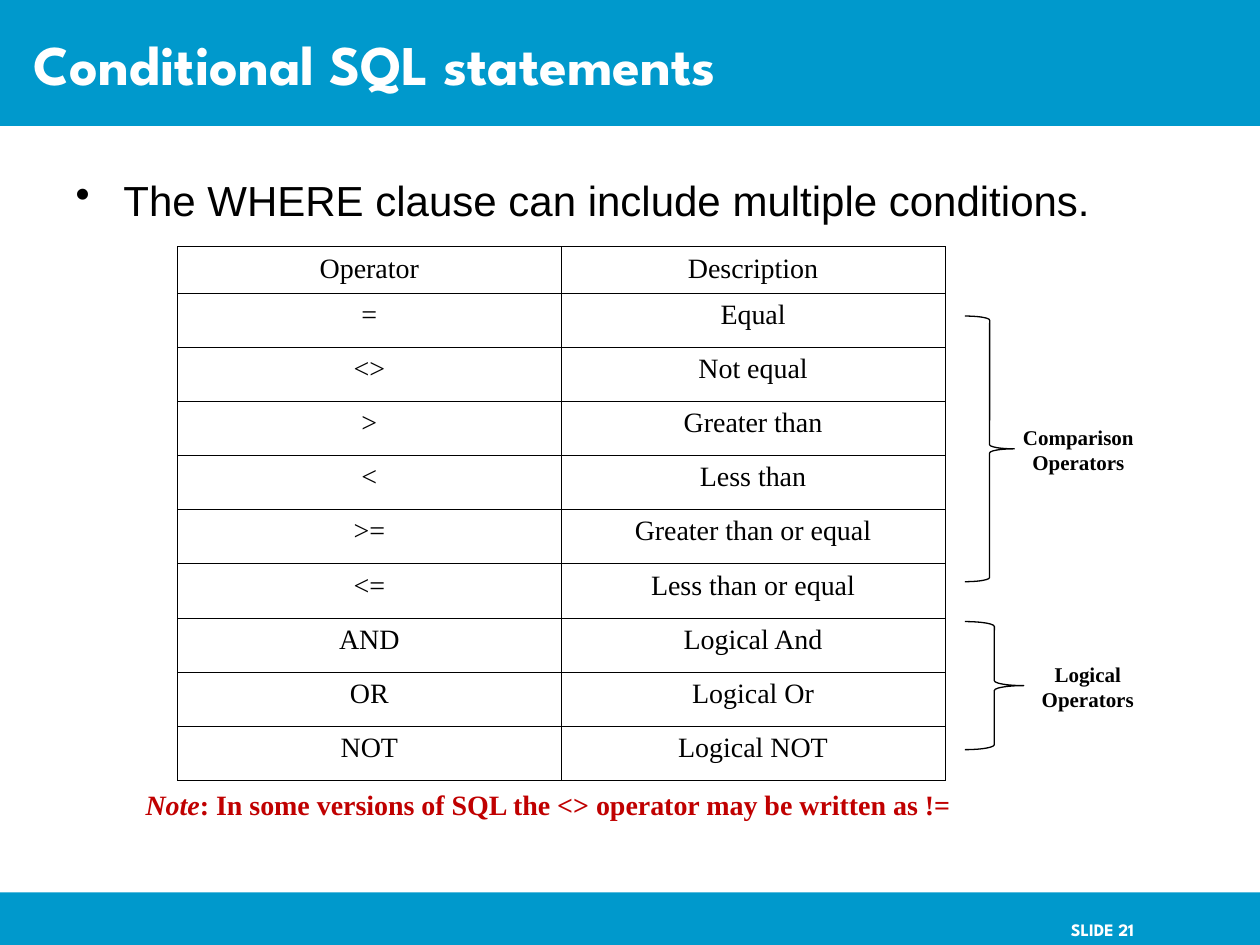
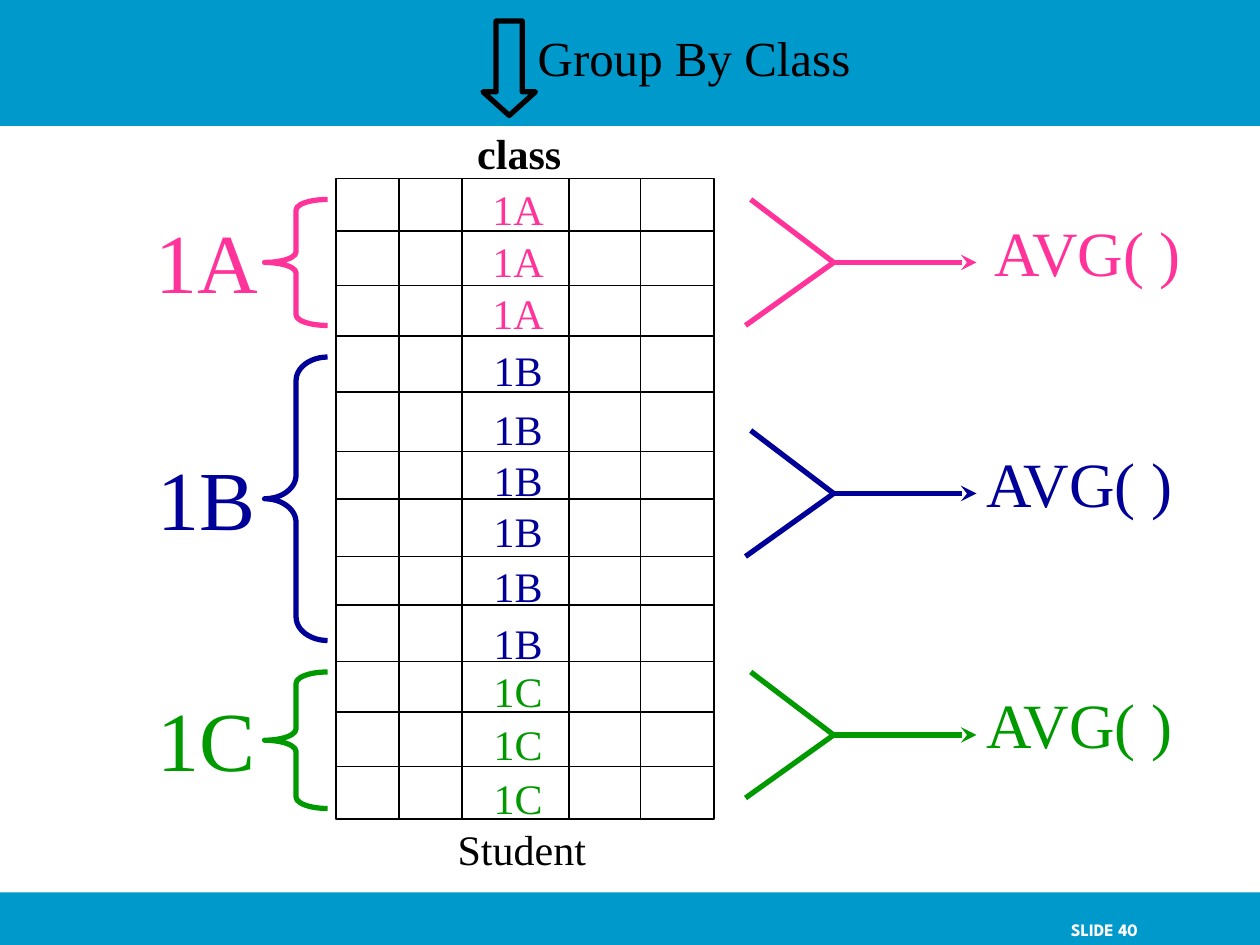
import lxml.etree
import pptx
import pptx.dml.color
import pptx.enum.shapes
import pptx.enum.text
import pptx.oxml
import pptx.oxml.ns
import pptx.util

SHAPE = pptx.enum.shapes.MSO_SHAPE
ALIGN = pptx.enum.text.PP_ALIGN
ANCHOR = pptx.enum.text.MSO_ANCHOR

# The slide is a grid of 120 columns by 90 rows.
COLUMNS, ROWS = 120, 90
UNIT = pptx.util.Inches(10) / COLUMNS

BLUE, WHITE, BLACK, RED = "0099CC", "FFFFFF", "000000", "C00000"
PINK, NAVY, GREEN = "FF3399", "000099", "009900"
HEADING_FONT, BODY_FONT, SERIF_FONT = "League Spartan", "Arial", "Times New Roman"

OPERATORS = [
    ("Operator", "Description"),
    ("=", "Equal"),
    ("<>", "Not equal"),
    (">", "Greater than"),
    ("<", "Less than"),
    (">=", "Greater than or equal"),
    ("<=", "Less than or equal"),
    ("AND", "Logical And"),
    ("OR", "Logical Or"),
    ("NOT", "Logical NOT"),
]

# Class name, colour, brace top, brace height, funnel top, result width
CLASSES = [
    ("1A", PINK, 19, 12, 19, 22.6),
    ("1B", NAVY, 34, 27, 41, 21),
    ("1C", GREEN, 64, 13, 64, 21),
]
STUDENT_CLASSES = ["1A"] * 3 + ["1B"] * 6 + ["1C"] * 3
STUDENT_TOPS = [16.9, 21.8, 26.8, 32.2, 37.8, 42.7, 47.6, 52.8, 58.2, 62.8, 67.8, 73]
STUDENT_ROW_LINES = [22, 27.2, 32, 37.3, 43, 47.5, 53, 57.6, 63, 67.8, 73]
STUDENT_COLUMN_LINES = [38, 44, 54.2, 61]


def grid(*units):
    return [pptx.util.Emu(round(unit * UNIT)) for unit in units]


def color(value):
    return pptx.dml.color.RGBColor.from_string(value)


def format_text(frame, size, text_color=BLACK, font=SERIF_FONT, bold=False,
                align=ALIGN.CENTER):
    for para in frame.paragraphs:
        para.alignment = align
        for span in para.runs:
            span.font.size = pptx.util.Pt(size)
            span.font.name = font
            span.font.bold = bold
            span.font.color.rgb = color(text_color)


def add_text(page, area, text, size, **style):
    """Add a wrapped text box without side margins."""
    box = page.shapes.add_textbox(*grid(*area))
    frame = box.text_frame
    frame.word_wrap = True
    frame.margin_left = frame.margin_right = 0
    frame.text = text
    format_text(frame, size, **style)
    return frame


def add_shape(page, kind, area, fill=None, line=None, width=1):
    shape = page.shapes.add_shape(kind, *grid(*area))
    shape.shadow.inherit = False
    if fill:
        shape.fill.solid()
        shape.fill.fore_color.rgb = color(fill)
    else:
        shape.fill.background()
    if line:
        shape.line.color.rgb = color(line)
        shape.line.width = pptx.util.Pt(width)
    else:
        shape.line.fill.background()
    return shape


def add_line(page, start, end, line, width, arrow=False):
    connector = page.shapes.add_connector(
        pptx.enum.shapes.MSO_CONNECTOR.STRAIGHT, *grid(*start, *end))
    connector.line.color.rgb = color(line)
    connector.line.width = pptx.util.Pt(width)
    if arrow:
        lxml.etree.SubElement(connector.line._get_or_add_ln(),
                              pptx.oxml.ns.qn("a:tailEnd"), type="stealth")
    lxml.etree.SubElement(connector._element.spPr, pptx.oxml.ns.qn("a:effectLst"))
    return connector


def add_bands(page, number):
    """Draw the header and footer bands with the slide number."""
    for top, height in ((0, 12), (85, 5)):
        add_shape(page, SHAPE.RECTANGLE, (0, top, COLUMNS, height), fill=BLUE)
    frame = add_text(page, (102, 87, 12, 3), f"SLIDE {number}", 10,
                     text_color=WHITE, font=HEADING_FONT, bold=True, align=ALIGN.LEFT)
    frame.margin_top = frame.margin_bottom = 0
    frame.vertical_anchor = ANCHOR.MIDDLE


def set_title(page, text):
    title = page.shapes.title
    title.left, title.top, title.width, title.height = grid(2, 0, 102, 12)
    title.text_frame.text = text
    title.text_frame.vertical_anchor = ANCHOR.MIDDLE
    format_text(title.text_frame, 32, WHITE, HEADING_FONT, True, ALIGN.LEFT)
    # Keep the title in front of the header band.
    page.shapes._spTree.append(title._element)


def add_bullet(page, area, text):
    frame = add_text(page, area, text, 24, font=BODY_FONT, align=ALIGN.LEFT)
    properties = frame.paragraphs[0]._p.get_or_add_pPr()
    indent = pptx.util.Inches(0.38)
    properties.set("marL", str(indent))
    properties.set("indent", str(-indent))
    lxml.etree.SubElement(properties, pptx.oxml.ns.qn("a:buChar"), char="•")


def set_borders(cell, line, width):
    properties = cell._tc.get_or_add_tcPr()
    for position, side in enumerate(("lnL", "lnR", "lnT", "lnB")):
        border = pptx.oxml.parse_xml(
            f'<a:{side} {pptx.oxml.ns.nsdecls("a")} w="{pptx.util.Pt(width)}">'
            f'<a:solidFill><a:srgbClr val="{line}"/></a:solidFill></a:{side}>')
        properties.insert(position, border)


def add_operator_table(page, left, top, width, header_height, row_height):
    height = header_height + row_height * (len(OPERATORS) - 1)
    table = page.shapes.add_table(
        len(OPERATORS), 2, *grid(left, top, width, height)).table
    table.first_row = table.horz_banding = False
    for column in table.columns:
        column.width = grid(width / 2)[0]
    for index, texts in enumerate(OPERATORS):
        table.rows[index].height = grid(row_height if index else header_height)[0]
        for cell, text in zip(table.rows[index].cells, texts):
            cell.text = text
            cell.fill.background()
            format_text(cell.text_frame, 16)
            set_borders(cell, BLACK, 0.45)


def add_operator_group(page, left, top, width, height, name):
    """Bracket some table rows and name them to the right of the brace."""
    add_shape(page, SHAPE.RIGHT_BRACE, (left, top, width, height),
              line=BLACK, width=0.75)
    label_area = (left + width - 1.9, top + height / 2 - 2.9, 16, 6)
    add_text(page, label_area, f"{name}\nOperators", 12, bold=True)


def add_student_grid(page, left, top, width, height):
    colors = {name: class_color for name, class_color, *_ in CLASSES}
    frame = add_shape(page, SHAPE.RECTANGLE, (left, top, width, height), line=BLACK)
    right, bottom = left + width, top + height
    for y in STUDENT_ROW_LINES:
        row_line = add_line(page, (left, y), (right, y), BLACK, 1)
        if y == top + height / 2:
            row_line.begin_connect(frame, 1)
            row_line.end_connect(frame, 3)
    for x in STUDENT_COLUMN_LINES:
        add_line(page, (x, top), (x, bottom), BLACK, 1)
    for name, y in zip(STUDENT_CLASSES, STUDENT_TOPS):
        add_text(page, (left + 13.7, y, 7.3, 6), name, 24, text_color=colors[name])
    add_text(page, (left + 12.3, top - 5.4, 10.3, 6), "class", 24, bold=True)
    add_text(page, (left + 10.4, bottom - 0.2, 14.6, 6), "Student", 24)


def add_class_brace(page, left, top, height, name, class_color):
    width = 6
    brace = add_shape(page, SHAPE.LEFT_BRACE, (left, top, width, height),
                      line=class_color, width=3)
    brace.adjustments[0] = height / width / 12
    label_area = (left - 12, top + height / 2 - 5.6, 13, 10.8)
    add_text(page, label_area, name, 48, text_color=class_color)


def add_average(page, left, top, result_width, class_color):
    """Draw two lines that meet in an arrow to the AVG( ) result."""
    joint = (left + 8.4, top + 6)
    add_line(page, (left + 0.5, top), joint, class_color, 3)
    add_line(page, (left, top + 12), joint, class_color, 3)
    add_line(page, joint, (left + 22, top + 6), class_color, 3, arrow=True)
    add_text(page, (left + 21.3, top + 0.7, result_width, 8.4), "AVG( )", 36,
             text_color=class_color)


def build_operators_slide(deck):
    page = deck.slides.add_slide(deck.slide_layouts.get_by_name("Title Only"))
    add_bands(page, 21)
    set_title(page, "Conditional SQL statements")
    add_bullet(page, (7.2, 16, 106, 6),
               "The WHERE clause can include multiple conditions.")
    add_operator_table(page, 16.9, 23.5, 73.1, 4.4, 5.16)
    add_operator_group(page, 91.9, 30.1, 4.7, 25.3, "Comparison")
    add_operator_group(page, 91.9, 59.2, 5.6, 12.2, "Logical")
    note = add_text(page, (8, 74.4, 88.4, 4.4), "Note", 16)
    para = note.paragraphs[0]
    para.add_run().text = ": In some versions of SQL the <> operator may be written as !="
    format_text(note, 16, RED, bold=True)
    para.runs[0].font.italic = True


def build_grouping_slide(deck):
    page = deck.slides.add_slide(deck.slide_layouts.get_by_name("Blank"))
    add_bands(page, 40)
    arrow = add_shape(page, SHAPE.DOWN_ARROW, (46, 2, 5, 9), line=BLACK, width=3)
    arrow.adjustments[1] = 0.45
    add_text(page, (50, 2, 32.2, 6.8), "Group By Class", 28)
    for name, class_color, brace_top, height, funnel_top, result_width in CLASSES:
        add_average(page, 71, funnel_top, result_width, class_color)
        add_class_brace(page, 25.2, brace_top, height, name, class_color)
    add_student_grid(page, 32, 17, 36, 61)


def main():
    deck = pptx.Presentation()
    deck.slide_width, deck.slide_height = grid(COLUMNS, ROWS)
    build_operators_slide(deck)
    build_grouping_slide(deck)
    deck.save("out.pptx")


if __name__ == "__main__":
    main()
